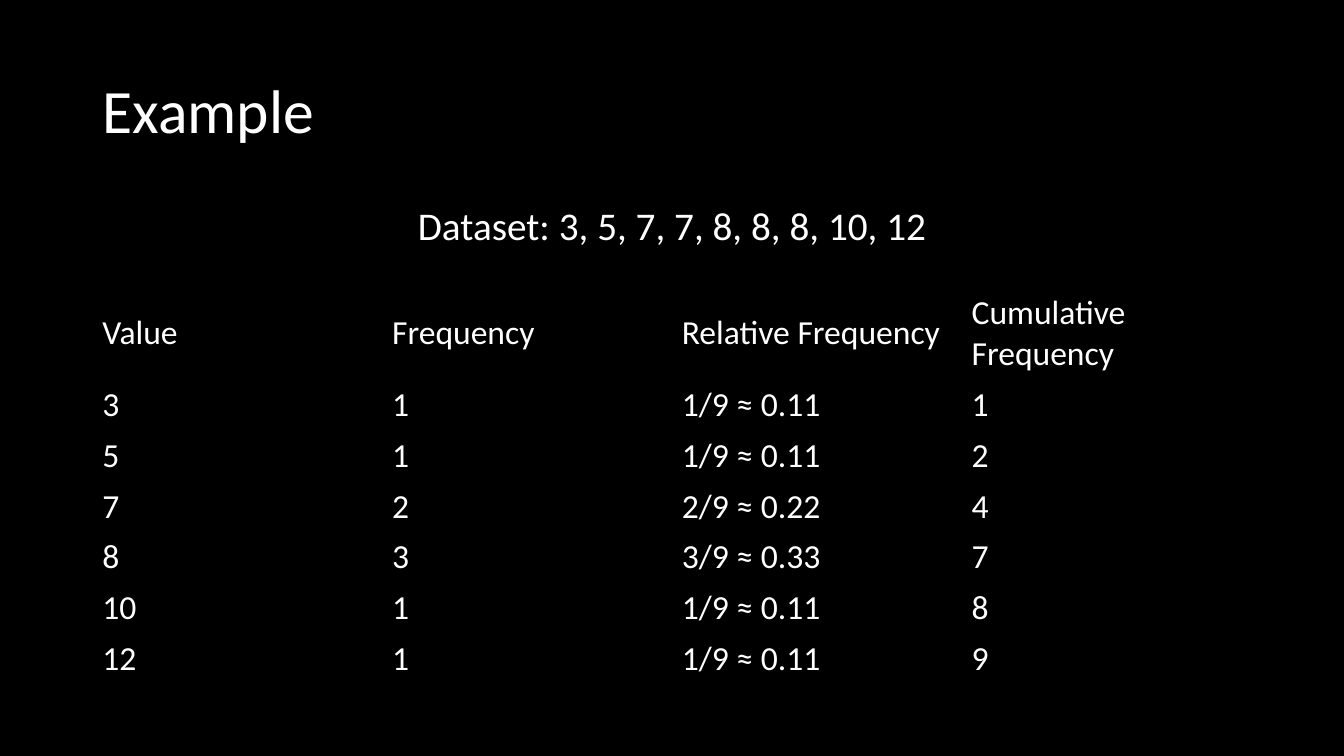
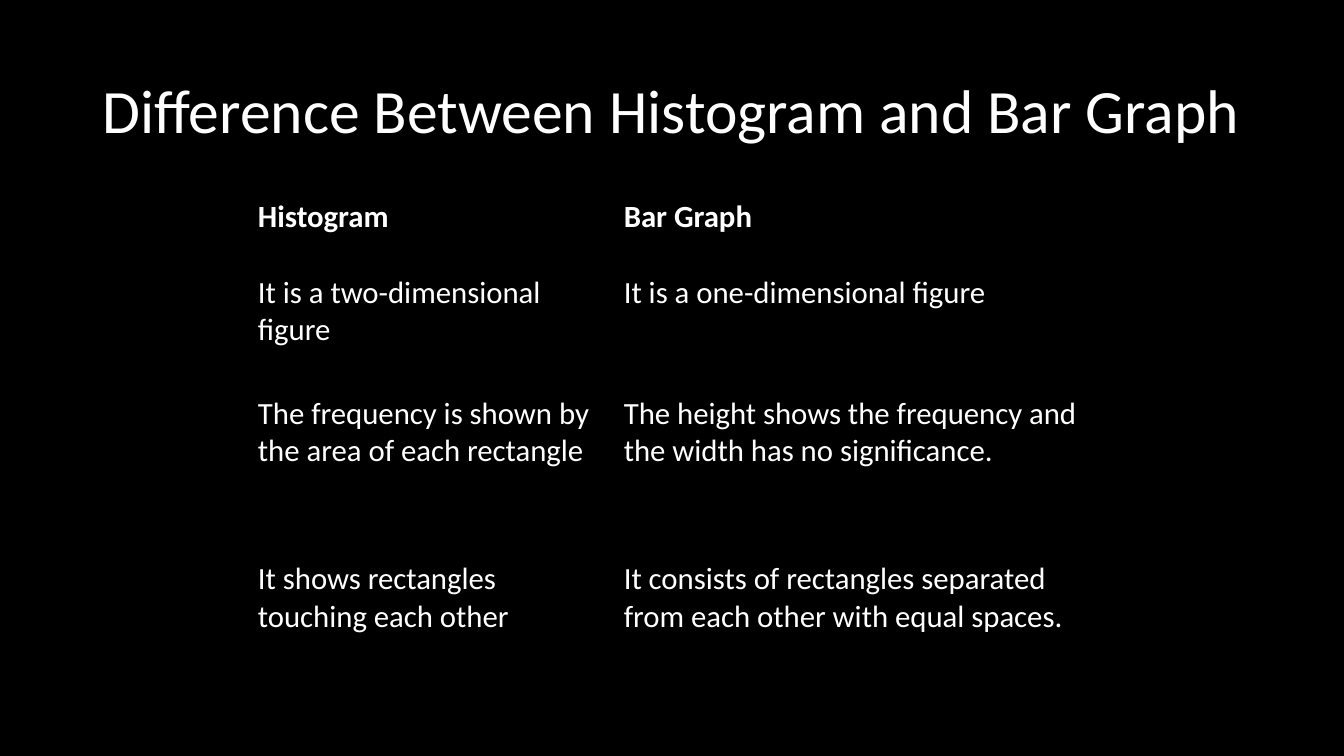
from dataclasses import dataclass

from pptx import Presentation
from pptx.dml.color import RGBColor
from pptx.enum.text import MSO_ANCHOR, MSO_AUTO_SIZE, PP_ALIGN
from pptx.oxml.ns import qn
from pptx.slide import Slide
from pptx.text.text import TextFrame
from pptx.util import Cm, Pt

LEFT, CENTER = PP_ALIGN.LEFT, PP_ALIGN.CENTER
TOP, MIDDLE = MSO_ANCHOR.TOP, MSO_ANCHOR.MIDDLE
FIXED_SIZE = MSO_AUTO_SIZE.NONE
TITLE_ONLY = 5
PLAIN_TABLE_STYLE = "{2D5ABB26-0587-4C30-8999-92F81FD0307C}"


@dataclass(frozen=True)
class Theme:
    background: RGBColor = RGBColor(0x00, 0x00, 0x00)
    text: RGBColor = RGBColor(0xFF, 0xFF, 0xFF)
    font: str = "Calibri"
    title_size: int = 44
    dataset_size: int = 28
    frequency_size: int = 24
    comparison_size: int = 22


@dataclass(frozen=True)
class TableSpec:
    """Content and format of a table; lengths are in centimetres."""
    rows: list[tuple[str, ...]]
    left: float
    top: float
    column_widths: list[float]
    row_heights: list[float]
    size: int
    anchor: MSO_ANCHOR
    margin_x: float = 0.25
    margin_y: float = 0.13
    bold_header: bool = False


THEME = Theme()
MARGIN = 2.33
CONTENT_WIDTH = 29.21

# Frequencies follow from the data set
DATASET = [3, 5, 7, 7, 8, 8, 8, 10, 12]


def frequency_rows() -> list[tuple[str, ...]]:
    rows = [("Value", "Frequency", "Relative Frequency", "Cumulative Frequency")]
    total = len(DATASET)
    cumulative = 0
    for value in sorted(set(DATASET)):
        count = DATASET.count(value)
        cumulative += count
        relative = f"{count}/{total} ≈ {count / total:.2f}"
        rows.append((str(value), str(count), relative, str(cumulative)))
    return rows


FREQUENCY_TABLE = TableSpec(
    rows=frequency_rows(),
    left=MARGIN,
    top=7.24,
    column_widths=[CONTENT_WIDTH / 4] * 4,
    row_heights=[2.32] + [1.28] * 6,
    size=THEME.frequency_size,
    anchor=MIDDLE,
)

COMPARISON_TABLE = TableSpec(
    rows=[
        ("Histogram", "Bar Graph"),
        ("It is a two-dimensional figure", "It is a one-dimensional figure"),
        ("The frequency is shown by the area of each rectangle",
         "The height shows the frequency and the width has no significance."),
        ("It shows rectangles touching each other",
         "It consists of rectangles separated from each other with equal spaces."),
    ],
    left=6.3,
    top=4.7,
    column_widths=[9.22, 12.04],
    row_heights=[1.9, 3.05, 4.18, 4.18],
    size=THEME.comparison_size,
    anchor=TOP,
    margin_x=0.2,
    margin_y=0.3,
    bold_header=True,
)


def write_text(frame: TextFrame, text: str, *, size: int, bold: bool = False,
               align: PP_ALIGN = LEFT, line_spacing: float = 1.0) -> None:
    frame.word_wrap = True
    para = frame.paragraphs[0]
    para.alignment = align
    para.line_spacing = line_spacing
    span = para.add_run()
    span.text = text
    span.font.name = THEME.font
    span.font.size = Pt(size)
    span.font.bold = bold
    span.font.color.rgb = THEME.text


def add_page(deck: Presentation, title: str) -> Slide:
    page = deck.slides.add_slide(deck.slide_layouts[TITLE_ONLY])
    box = page.shapes.title
    box.left, box.top = Cm(MARGIN), Cm(1.01)
    box.width, box.height = Cm(CONTENT_WIDTH), Cm(3.68)
    frame = box.text_frame
    frame.auto_size = FIXED_SIZE
    frame.vertical_anchor = MIDDLE
    write_text(frame, title, size=THEME.title_size, line_spacing=0.9)
    return page


def add_plain_table(page: Slide, layout: TableSpec) -> None:
    table = page.shapes.add_table(
        len(layout.rows), len(layout.column_widths),
        Cm(layout.left), Cm(layout.top),
        Cm(sum(layout.column_widths)), Cm(sum(layout.row_heights)),
    ).table
    table.first_row = table.horz_banding = False
    # Replace the banded default style with one that has no grid
    table._tbl.tblPr.find(qn("a:tableStyleId")).text = PLAIN_TABLE_STYLE

    for column, width in zip(table.columns, layout.column_widths):
        column.width = Cm(width)
    for row, height in zip(table.rows, layout.row_heights):
        row.height = Cm(height)

    for row_index, texts in enumerate(layout.rows):
        for column_index, text in enumerate(texts):
            cell = table.cell(row_index, column_index)
            cell.fill.background()
            cell.vertical_anchor = layout.anchor
            cell.margin_left = cell.margin_right = Cm(layout.margin_x)
            cell.margin_top = cell.margin_bottom = Cm(layout.margin_y)
            write_text(cell.text_frame, text, size=layout.size,
                       bold=layout.bold_header and row_index == 0)


def build_example(deck: Presentation) -> None:
    page = add_page(deck, "Example")
    box = page.shapes.add_textbox(Cm(MARGIN), Cm(5.08), Cm(CONTENT_WIDTH), Cm(1.6))
    write_text(box.text_frame, "Dataset: " + ", ".join(map(str, DATASET)),
               size=THEME.dataset_size, align=CENTER, line_spacing=0.9)
    add_plain_table(page, FREQUENCY_TABLE)


def build_comparison(deck: Presentation) -> None:
    page = add_page(deck, "Difference Between Histogram and Bar Graph")
    add_plain_table(page, COMPARISON_TABLE)


def main() -> None:
    deck = Presentation()
    deck.slide_width, deck.slide_height = Cm(33.87), Cm(19.05)
    # Shared background
    fill = deck.slide_master.background.fill
    fill.solid()
    fill.fore_color.rgb = THEME.background
    build_example(deck)
    build_comparison(deck)
    deck.save("out.pptx")


if __name__ == "__main__":
    main()
